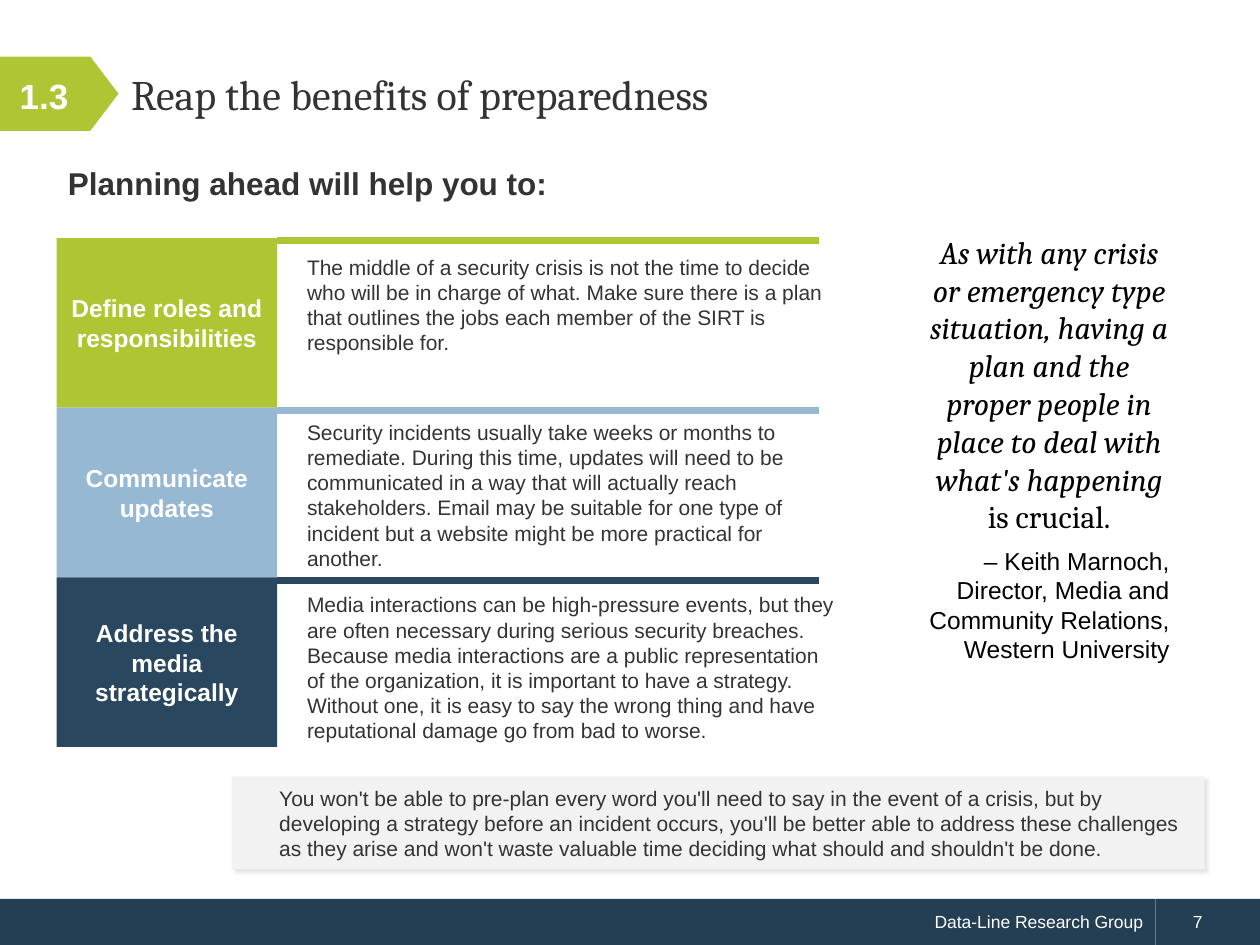
from lxml.etree import SubElement
from pptx import Presentation
from pptx.dml.color import RGBColor
from pptx.enum.shapes import MSO_SHAPE as Preset
from pptx.enum.text import MSO_ANCHOR as Anchor, MSO_AUTO_SIZE as Fit, PP_ALIGN as Align
from pptx.oxml.ns import qn
from pptx.util import Cm, Pt

COLOURS = {
    "lime": "B0C534", "sky": "96B8D2", "navy": "29475F", "footer": "243F54",
    "pale": "F2F2F2", "ink": "333333", "black": "000000", "white": "FFFFFF",
}
TITLE = "Reap the benefits of preparedness"
SECTION = "1.3"
HEADING = "Planning ahead will help you to:"
BENEFITS = [
    ("Define roles and responsibilities", "lime", 5.0,
     "The middle of a security crisis is not the time to decide who will be in charge of what. "
     "Make sure there is a plan that outlines the jobs each member of the SIRT is responsible for."),
    ("Communicate updates", "sky", 8.33,
     "Security incidents usually take weeks or months to remediate. During this time, updates will "
     "need to be communicated in a way that will actually reach stakeholders. Email may be suitable "
     "for one type of incident but a website might be more practical for another."),
    ("Address the media strategically", "navy", 11.81,
     "Media interactions can be high-pressure events, but they are often necessary during serious "
     "security breaches. Because media interactions are a public representation of the organization, "
     "it is important to have a strategy. Without one, it is easy to say the wrong thing and have "
     "reputational damage go from bad to worse."),
]
QUOTE = ("As with any crisis or emergency type situation, having a plan and the proper people "
         "in place to deal with what's happening ")
QUOTE_END = "is crucial."
SPEAKER = "– Keith Marnoch, Director, Media and Community Relations, Western University"
NOTE = ("You won't be able to pre-plan every word you'll need to say in the event of a crisis, but by "
        "developing a strategy before an incident occurs, you'll be better able to address these "
        "challenges as they arise and won't waste valuable time deciding what should and shouldn't be done.")
FOOTER = [("Data-Line Research Group", 0, 23.29, Align.RIGHT, 0),
          ("7", 23.29, 2.11, Align.LEFT, 0.51)]

BODY = {"name": "Arial", "size": Pt(12)}
LABEL = {"name": "Arial", "size": Pt(14), "bold": True}
HEAD = {"name": "Arial", "size": Pt(18), "bold": True}
BADGE = {"name": "Arial", "size": Pt(20), "bold": True}
SMALL = {"name": "Arial", "size": Pt(10)}
SERIF = {"name": "Cambria", "size": Pt(24), "bold": False}
SPOKEN = {"name": "Cambria", "size": Pt(18)}
ROW_TOP, ROW_PITCH = 4.8, 3.42


def colour(name):
    """Return the named palette colour."""
    return RGBColor.from_string(COLOURS[name])


def assign(target, values):
    """Set every attribute in a dict of format values."""
    for name, value in values.items():
        setattr(target, name, value)


def place(box, left, top, width, height):
    """Move and size a box in centimetres."""
    assign(box, {"left": Cm(left), "top": Cm(top), "width": Cm(width), "height": Cm(height)})


def add_span(para, text, font, ink):
    """Add one formatted stretch of text."""
    span = para.add_run()
    span.text = text
    assign(span.font, font)
    span.font.color.rgb = colour(ink)


def write(box, text, font, ink, align=Align.LEFT, anchor=Anchor.TOP, indent=0):
    """Fill a box with one formatted paragraph and return it."""
    assign(box.text_frame, {"word_wrap": True, "auto_size": Fit.NONE, "vertical_anchor": anchor})
    para = box.text_frame.paragraphs[0]
    assign(para, {"alignment": align, "space_before": Pt(0)})
    properties = para._p.get_or_add_pPr()
    properties.set("marL", str(Cm(indent)))
    properties.set("indent", "0")
    add_span(para, text, font, ink)
    return para


def add_block(page, preset, area, fill):
    """Add a plain filled shape."""
    block = page.shapes.add_shape(preset, *map(Cm, area))
    block.shadow.inherit = False
    block.fill.solid()
    block.fill.fore_color.rgb = colour(fill)
    block.line.fill.background()
    return block


def add_text(page, area, *content):
    """Add a text box with one paragraph and return both."""
    box = page.shapes.add_textbox(*map(Cm, area))
    return box, write(box, *content)


def add_soft_shadow(block):
    """Give a block a faint lower-right shadow."""
    effects = block._element.spPr.find(qn("a:effectLst"))
    shadow = SubElement(effects, qn("a:outerShdw"), blurRad=str(Pt(2)), dist=str(Pt(2)),
                        dir="2700000", algn="tl", rotWithShape="0")
    tint = SubElement(shadow, qn("a:srgbClr"), val=COLOURS["black"])
    SubElement(tint, qn("a:alpha"), val="10000")


def add_header(page):
    """Fill the title and section number over their arrow tag."""
    tag = add_block(page, Preset.PENTAGON, (0, 1.14, 2.39, 1.5), "lime")
    tag.adjustments[0] = 0.38
    page.shapes._spTree.insert(2, tag._element)
    title, section = page.shapes.title, page.placeholders[1]
    place(title, 2.39, 0.74, 22.25, 2.39)
    place(section, 0, 0.69, 1.78, 2.49)
    para = write(title, TITLE, SERIF, "ink", Align.LEFT, Anchor.MIDDLE)
    para.line_spacing = Pt(26)
    para = write(section, SECTION, BADGE, "white", Align.CENTER, Anchor.MIDDLE)
    SubElement(para._p.get_or_add_pPr(), qn("a:buNone"))
    add_text(page, (1.12, 3.18, 12.85, 1.02), HEADING, HEAD, "ink")


def add_benefits(page):
    """Add the labelled rows with their rules and descriptions."""
    for index, (label, fill, text_top, detail) in enumerate(BENEFITS):
        top = ROW_TOP + index * ROW_PITCH
        block = add_block(page, Preset.RECTANGLE, (1.14, top, 4.45, ROW_PITCH), fill)
        write(block, label, LABEL, "white", Align.CENTER, Anchor.MIDDLE)
        add_block(page, Preset.MATH_MINUS, (3.61, top - 0.25, 14.88, 0.61), fill)
        add_text(page, (5.94, text_top, 11.2, 3.33), detail, BODY, "ink")


def add_quote(page):
    """Add the quotation and its speaker."""
    box, para = add_text(page, (18.47, 4.57, 5.36, 10.57), QUOTE,
                         {**SPOKEN, "italic": True}, "black", Align.CENTER)
    add_span(para, QUOTE_END, SPOKEN, "black")
    para.space_after = Pt(6)
    speaker = box.text_frame.add_paragraph()
    assign(speaker, {"alignment": Align.RIGHT, "space_after": Pt(6)})
    add_span(speaker, SPEAKER, {**LABEL, "bold": False}, "black")


def main():
    """Build the slide and save it."""
    deck = Presentation()
    assign(deck, {"slide_width": Cm(25.4), "slide_height": Cm(19.05)})
    page = deck.slides.add_slide(deck.slide_layouts[1])
    add_header(page)
    for text, left, width, align, indent in FOOTER:
        strip = add_block(page, Preset.RECTANGLE, (left, 18.12, width, 0.93), "footer")
        write(strip, text, SMALL, "white", align, Anchor.MIDDLE, indent)
    note = add_block(page, Preset.RECTANGLE, (4.67, 15.65, 19.61, 1.88), "pale")
    add_soft_shadow(note)
    write(note, NOTE, BODY, "ink", Align.LEFT, Anchor.MIDDLE, 0.71)
    add_quote(page)
    add_benefits(page)
    deck.save("out.pptx")


if __name__ == "__main__":
    main()
